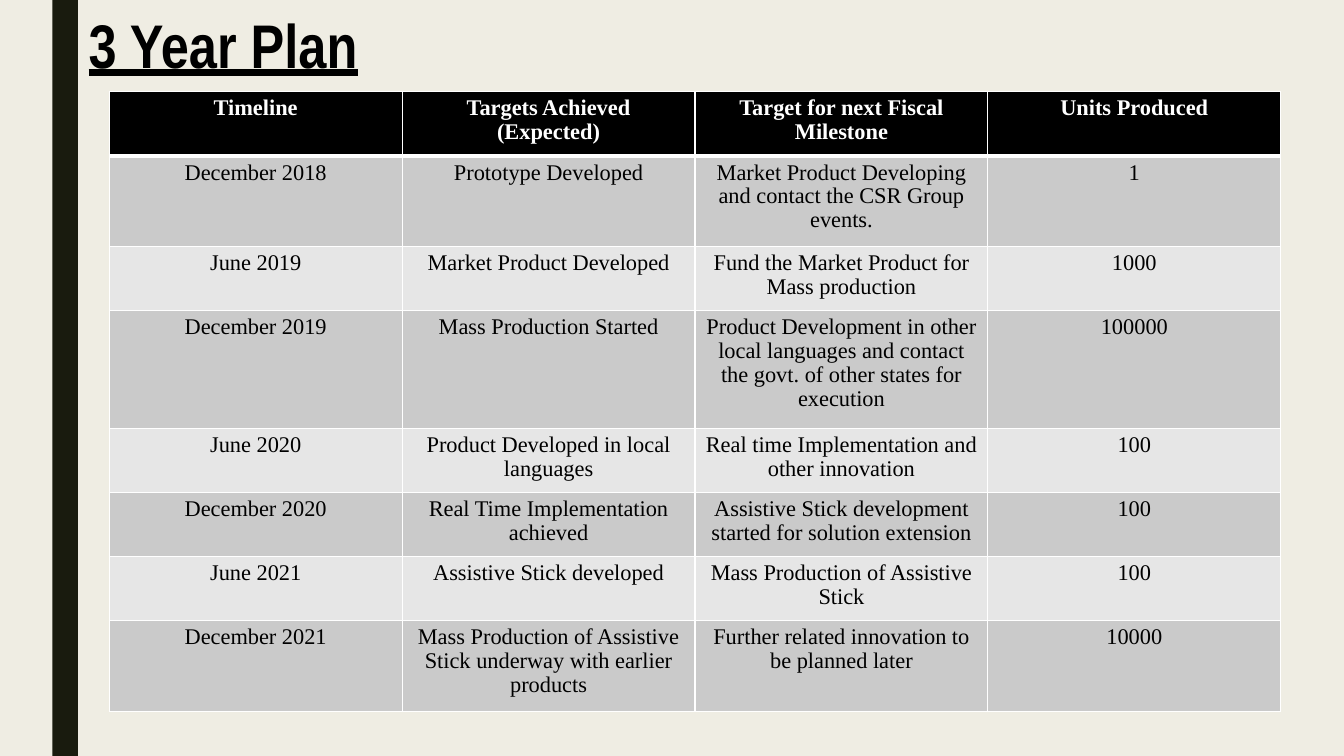
from lxml import etree
from pptx import Presentation
from pptx.dml.color import RGBColor
from pptx.enum.shapes import MSO_SHAPE
from pptx.enum.text import MSO_ANCHOR, PP_ALIGN
from pptx.oxml.ns import qn
from pptx.util import Inches, Pt

RECT = MSO_SHAPE.RECTANGLE
MIDDLE = MSO_ANCHOR.MIDDLE
CENTER = PP_ALIGN.CENTER
WIDE, HIGH = Inches(13.33), Inches(7.5)
HUES = {"back": "EFEDE3", "bar": "191B0E", "ink": "000000", "head": "000000",
        "line": "FFFFFF", "odd": "CACACA", "even": "E6E6E6"}
ROWS = [
    (2, "Timeline", "Targets Achieved\n(Expected)", "Target for next Fiscal Milestone", "Units Produced"),
    (3, "December 2018", "Prototype Developed",
     "Market Product Developing and contact the CSR Group events.", "1"),
    (2, "June 2019", "Market Product Developed", "Fund the Market Product for Mass production", "1000"),
    (4, "December 2019", "Mass Production Started",
     "Product Development in other local languages and contact the govt. of other states for execution", "100000"),
    (2, "June 2020", "Product Developed in local languages",
     "Real time Implementation and other innovation", "100"),
    (2, "December 2020", "Real Time Implementation achieved",
     "Assistive Stick development started for solution extension", "100"),
    (2, "June 2021", "Assistive Stick developed", "Mass Production of Assistive Stick", "100"),
    (3, "December 2021", "Mass Production of Assistive Stick underway with earlier products",
     "Further related innovation to be planned later", "10000"),
]


def hue(name):
    return RGBColor.from_string(HUES[name])


def across(share):
    return int(WIDE * share / 100)


def down(share):
    return int(HIGH * share / 100)


def place(left, top, width, height):
    return across(left), down(top), across(width), down(height)


def style(para, face, size, color, bold):
    for run in para.runs:
        font = run.font
        font.name, font.size, font.bold = face, Pt(size), bold
        font.color.rgb = hue(color)


def add_bar(slide):
    bar = slide.shapes.add_shape(RECT, *place(3.9, 0, 1.9, 100))
    bar.shadow.inherit = False
    bar.fill.solid()
    bar.fill.fore_color.rgb = hue("bar")
    bar.line.fill.background()


def add_title(slide, text):
    frame = slide.shapes.add_textbox(*place(5.85, 0.27, 34.73, 11.2)).text_frame
    frame.word_wrap = True
    frame.vertical_anchor = MIDDLE
    frame.text = text
    para = frame.paragraphs[0]
    style(para, "Arial Narrow", 44, "ink", True)
    para.runs[0].font.underline = True


def add_edge(cell, side, width):
    props = cell._tc.get_or_add_tcPr()
    edge = etree.SubElement(props, qn("a:" + side), w=str(Pt(width)))
    fill = etree.SubElement(edge, qn("a:solidFill"))
    etree.SubElement(fill, qn("a:srgbClr"), val=HUES["line"])


def fill_cell(cell, text, row):
    head = row == 0
    cell.text = text
    for para in cell.text_frame.paragraphs:
        para.alignment = CENTER
        para.line_spacing = 0.96
        style(para, "Times New Roman", 16, "line" if head else "ink", head)
    for side in ("lnL", "lnR", "lnT", "lnB"):
        thick = (head and side == "lnB") or (row == 1 and side == "lnT")
        add_edge(cell, side, 3 if thick else 1)
    cell.fill.solid()
    cell.fill.fore_color.rgb = hue("head" if head else "odd" if row % 2 else "even")


def add_plan(slide):
    highs = [1.45 + 3.52 * lines for lines, *_ in ROWS]
    count = len(ROWS[0]) - 1
    spot = place(8.13, 12.13, 87.17, sum(highs))
    table = slide.shapes.add_table(len(ROWS), count, *spot).table
    for row, (_, *texts) in enumerate(ROWS):
        table.rows[row].height = down(highs[row])
        for col, text in enumerate(texts):
            fill_cell(table.cell(row, col), text, row)


def main():
    """Build the three-year plan slide."""
    deck = Presentation()
    deck.slide_width, deck.slide_height = WIDE, HIGH
    slide = deck.slides.add_slide(deck.slide_layouts[6])
    slide.background.fill.solid()
    slide.background.fill.fore_color.rgb = hue("back")
    add_bar(slide)
    add_title(slide, "3 Year Plan")
    add_plan(slide)
    deck.save("out.pptx")


if __name__ == "__main__":
    main()
